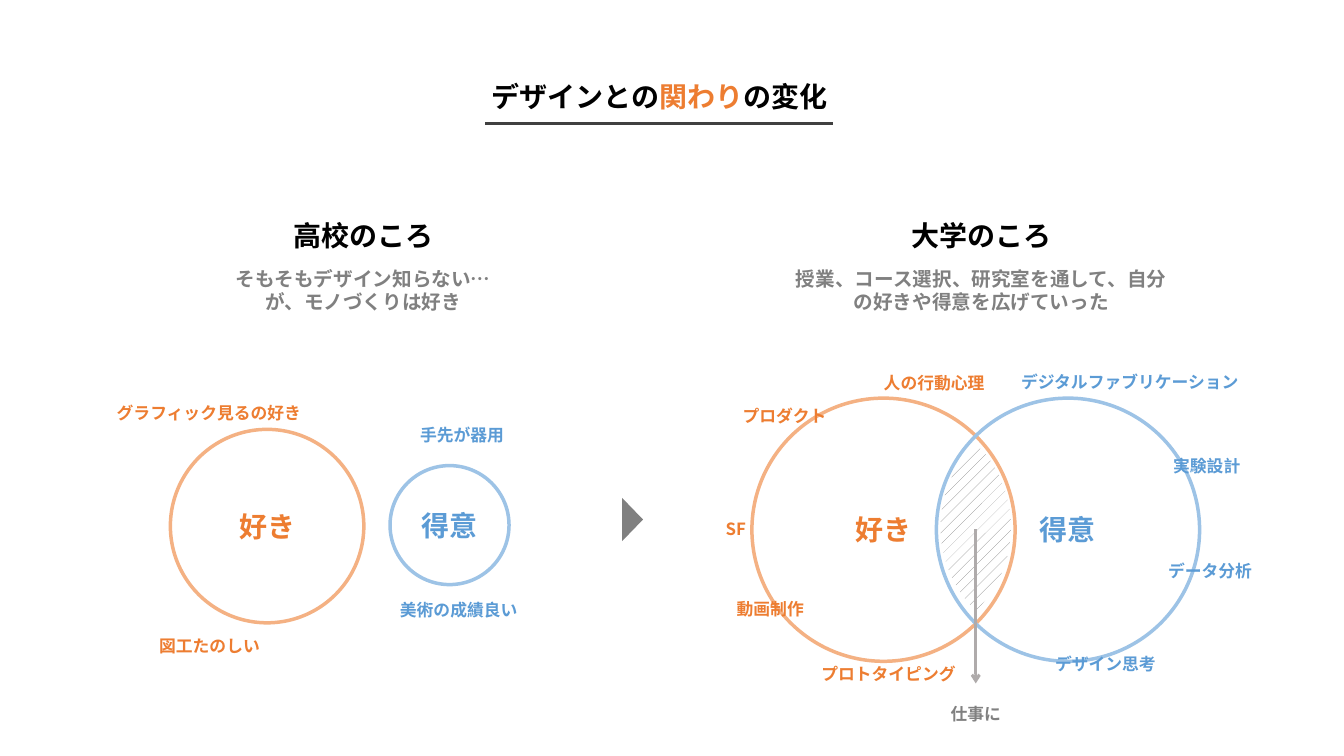
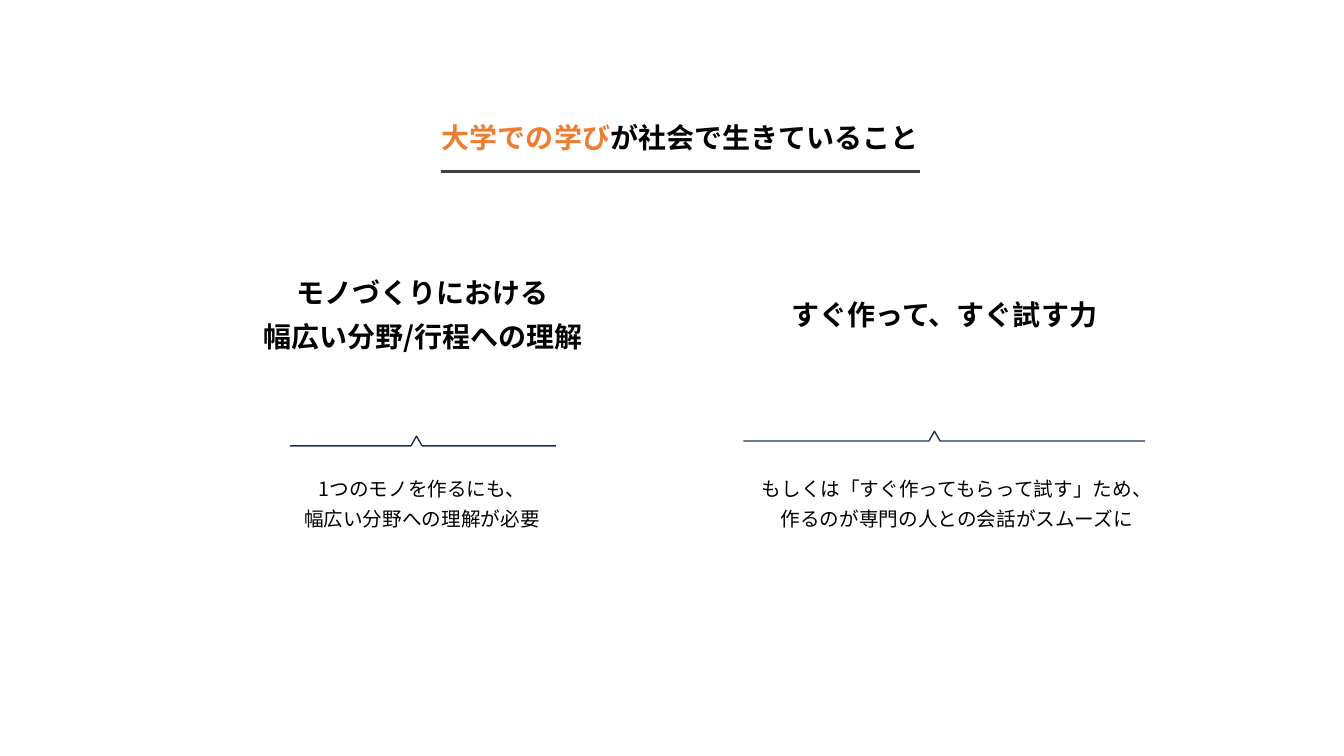
import math
from collections import namedtuple
from dataclasses import dataclass

from pptx import Presentation
from pptx import util as u
from pptx.dml.color import RGBColor
from pptx.enum import dml, shapes, text
from pptx.oxml.ns import qn
from lxml import etree

Pt = u.Pt
Box = namedtuple("Box", "left top width height")
CENTER, LEFT = text.PP_ALIGN.CENTER, text.PP_ALIGN.LEFT
TOP, MIDDLE = text.MSO_ANCHOR.TOP, text.MSO_ANCHOR.MIDDLE


@dataclass(frozen=True)
class Theme:
    font: str = "Noto Sans CJK JP"
    heading: int = 20
    body: int = 14
    label: int = 12
    black: str = "000000"
    white: str = "FFFFFF"
    gray: str = "808080"
    arrow: str = "AFABAB"
    rule: str = "404040"
    navy: str = "1E3256"
    like: str = "ED7D31"
    like_ring: str = "F4B183"
    skill: str = "5B9BD5"
    skill_ring: str = "9DC3E6"


THEME = Theme()


def rgb(value):
    return RGBColor.from_string(value)


def points(*lengths):
    return [Pt(length) for length in lengths]


# ---- Text and line helpers ----
def style_paragraph(paragraph, size, color=None, bold=True, align=CENTER, spacing=1.0):
    paragraph.alignment = align
    paragraph.line_spacing = spacing
    font = paragraph.font
    font.size, font.bold, font.name = Pt(size), bold, THEME.font
    if color:
        font.color.rgb = rgb(color)
    defaults = paragraph._p.pPr.find(qn("a:defRPr"))
    etree.SubElement(defaults, qn("a:ea")).set("typeface", THEME.font)


def fill_text(shape, lines, anchor=TOP, **style):
    frame = shape.text_frame
    frame.word_wrap = True
    frame.vertical_anchor = anchor
    for index, line in enumerate(lines):
        paragraph = frame.paragraphs[0] if index == 0 else frame.add_paragraph()
        paragraph.text = line
        style_paragraph(paragraph, **style)


def add_text(slide, box, lines, anchor=TOP, **style):
    fill_text(slide.shapes.add_textbox(*points(*box)), lines, anchor, **style)


def add_line(slide, start, end, color, arrow=False):
    line = slide.shapes.add_connector(
        shapes.MSO_CONNECTOR.STRAIGHT, *points(*start, *end))
    line.line.color.rgb = rgb(color)
    line.line.width = Pt(2)
    if arrow:
        etree.SubElement(line.line._get_or_add_ln(), qn("a:tailEnd")).set("type", "arrow")
    etree.SubElement(line._element.spPr, qn("a:effectLst"))


def add_outline(slide, corners, close):
    corners = [tuple(points(*corner)) for corner in corners]
    builder = slide.shapes.build_freeform(*corners[0])
    builder.add_line_segments(corners[1:], close=close)
    shape = builder.convert_to_shape()
    shape.shadow.inherit = False
    return shape


# ---- Shared title with rule ----
def add_title(slide, box, parts, rule_width, rule_drop, spacing=1.0):
    title = slide.shapes.title
    title.left, title.top, title.width, title.height = points(*box)
    frame = title.text_frame
    frame.word_wrap = True
    frame.auto_size = text.MSO_AUTO_SIZE.NONE
    frame.vertical_anchor = TOP
    paragraph = frame.paragraphs[0]
    style_paragraph(paragraph, THEME.heading, spacing=spacing)
    for words, color in parts:
        run = paragraph.add_run()
        run.text = words
        run.font.color.rgb = rgb(color)
    rule_left = box.left + (box.width - rule_width) / 2
    rule_top = box.top + rule_drop
    add_line(slide, (rule_left, rule_top), (rule_left + rule_width, rule_top), THEME.rule)


# ---- Parts of the comparison slide ----
def add_circle(slide, left, top, diameter, words, color, ring):
    circle = slide.shapes.add_shape(
        shapes.MSO_SHAPE.OVAL, *points(left, top, diameter, diameter))
    circle.shadow.inherit = False
    circle.fill.background()
    circle.line.color.rgb = rgb(ring)
    circle.line.width = Pt(2.5)
    fill_text(circle, [words], MIDDLE, size=THEME.heading, color=color)


def add_period(slide, box, heading, body, like, skill, like_labels, skill_labels):
    """like and skill are (left, top, diameter); labels are (text, left, top)."""
    center = box.left + box.width / 2
    add_text(slide, Box(center - 72, box.top, 144, 34.5), [heading],
             size=THEME.heading, color=THEME.black)
    add_text(slide, Box(center - 145, box.top + 34.5, 290, 41), body,
             size=THEME.body, color=THEME.gray)
    groups = (
        ("好き", like, like_labels, THEME.like, THEME.like_ring),
        ("得意", skill, skill_labels, THEME.skill, THEME.skill_ring),
    )
    for words, (left, top, diameter), _, color, ring in groups:
        add_circle(slide, box.left + left, box.top + top, diameter, words, color, ring)
    for _, _, labels, color, _ in groups:
        for words, left, top in labels:
            width = len(words) * THEME.label + 20
            add_text(slide, Box(box.left + left, box.top + top, width, 21.6), [words],
                     size=THEME.label, color=color, align=LEFT)


def add_overlap(slide, box):
    """Hatched lens filling the box, with an arrow down to its caption."""
    half_width, half_height = box.width / 2, box.height / 2
    center_x, center_y = box.left + half_width, box.top + half_height
    radius = (half_width ** 2 + half_height ** 2) / (2 * half_width)
    reach = math.asin(half_height / radius)
    steps = 24
    corners = []
    for side in (1, -1):
        arc_x = center_x + side * (half_width - radius)
        for step in range(steps):
            angle = side * reach * (2 * step / steps - 1)
            corners.append((arc_x + side * radius * math.cos(angle),
                            center_y + radius * math.sin(angle)))
    lens = add_outline(slide, corners, close=True)
    lens.fill.patterned()
    lens.fill.pattern = dml.MSO_PATTERN.PERCENT_10
    lens.fill.fore_color.rgb = rgb(THEME.gray)
    lens.fill.back_color.rgb = rgb(THEME.white)
    lens.line.fill.background()
    add_text(slide, Box(center_x - 38, center_y + 122.5, 76, 21.6), ["仕事に"],
             size=THEME.label, color=THEME.gray)
    add_line(slide, (center_x, center_y + 1.5), (center_x, center_y + 111.7),
             THEME.arrow, arrow=True)


def add_step_marker(slide, box):
    marker = slide.shapes.add_shape(shapes.MSO_SHAPE.ISOSCELES_TRIANGLE, *points(*box))
    marker.rotation = 90
    marker.shadow.inherit = False
    marker.fill.solid()
    marker.fill.fore_color.rgb = rgb(THEME.gray)
    marker.line.fill.background()


def build_change_slide(slide):
    add_title(slide, Box(279, 53, 384, 32),
              [("デザインとの", THEME.black), ("関わり", THEME.like), ("の変化", THEME.black)],
              rule_width=248.5, rule_drop=35.5)
    add_period(
        slide, Box(72, 152.5, 375, 320), "高校のころ",
        ["そもそもデザイン知らない…", "が、モノづくりは好き"],
        like=(49.7, 154.2, 138.2), skill=(206.6, 180.1, 85),
        like_labels=[("図工たのしい", 34.6, 298.2), ("グラフィック見るの好き", 4.3, 131.9)],
        skill_labels=[("手先が器用", 221, 147), ("美術の成績良い", 206.6, 272.3)])
    add_step_marker(slide, Box(436.3, 363.6, 31, 15))
    university = Box(511, 152.5, 380, 370)
    add_period(
        slide, university, "大学のころ",
        ["授業、コース選択、研究室を通して、自分の好きや得意を広げていった"],
        like=(26.1, 131.9, 188), skill=(157.9, 131.9, 188),
        like_labels=[("SF", 0.2, 214.7), ("プロダクト", 12.4, 134.1),
                     ("人の行動心理", 113.2, 110.3), ("動画制作", 8.1, 271.6),
                     ("プロトタイピング", 68.6, 318.4)],
        skill_labels=[("デジタルファブリケーション", 211.2, 109.6),
                      ("データ分析", 316.3, 244.2), ("実験設計", 319.9, 169.3),
                      ("デザイン思考", 235.6, 311.2)])
    add_overlap(slide, Box(university.left + 160.8, university.top + 164.2, 50.4, 119.6))


# ---- Parts of the strengths slide ----
def add_strength(slide, box, heading, body, peak, rule_drop, body_left, body_width):
    """Heading, notched rule spanning the box, and explanation."""
    center = box.left + box.width / 2
    add_text(slide, Box(center - 182, box.top, 364, 68), heading, MIDDLE,
             size=THEME.heading, color=THEME.black, spacing=1.3)
    rule_top, peak_x = box.top + rule_drop, box.left + peak
    rule = add_outline(slide, [
        (box.left, rule_top), (peak_x - 4, rule_top), (peak_x, rule_top - 7),
        (peak_x + 4, rule_top), (box.left + box.width, rule_top)], close=False)
    rule.fill.background()
    rule.line.color.rgb = rgb(THEME.navy)
    rule.line.width = Pt(1)
    add_text(slide, Box(box.left + body_left, box.top + 145, body_width, 50), body,
             size=THEME.body, color=THEME.black, bold=False, spacing=1.3)


def build_strengths_slide(slide):
    add_title(slide, Box(300.5, 75.5, 371, 37),
              [("大学での学び", THEME.like), ("が社会で生きていること", THEME.black)],
              rule_width=342, rule_drop=47, spacing=1.3)
    add_strength(slide, Box(207, 187, 190, 195),
                 ["モノづくりにおける", "幅広い分野/行程への理解"],
                 ["1つのモノを作るにも、", "幅広い分野への理解が必要"],
                 peak=90.5, rule_drop=131.5, body_left=-1, body_width=191)
    add_strength(slide, Box(531, 187, 287, 195),
                 ["すぐ作って、すぐ試す力"],
                 ["もしくは「すぐ作ってもらって試す」ため、作るのが専門の人との会話がスムーズに"],
                 peak=136.5, rule_drop=128, body_left=2.5, body_width=300)


def main():
    presentation = Presentation()
    presentation.slide_width, presentation.slide_height = points(960, 540)
    title_only = presentation.slide_layouts[5]
    for build in (build_change_slide, build_strengths_slide):
        build(presentation.slides.add_slide(title_only))
    presentation.save("out.pptx")


if __name__ == "__main__":
    main()
